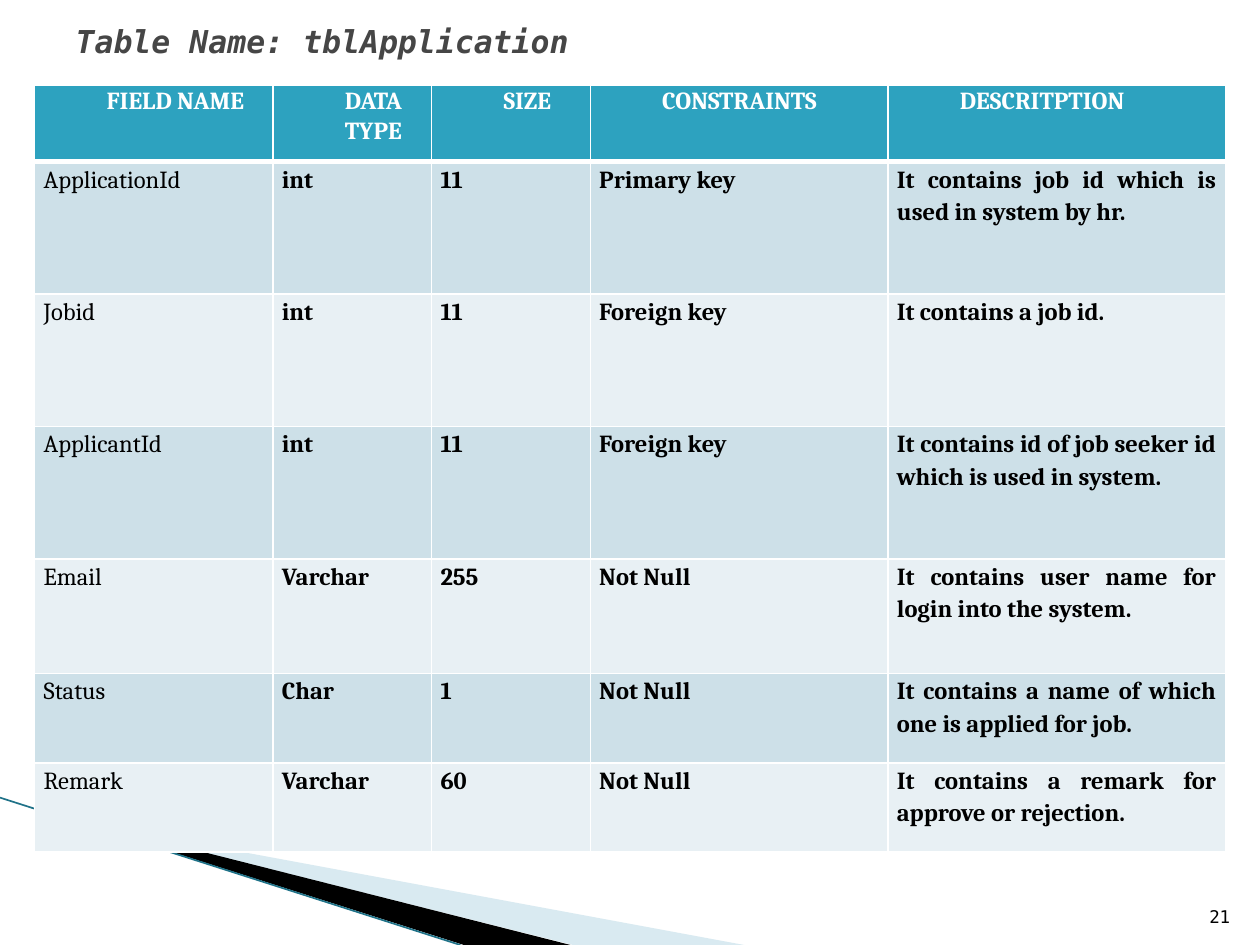
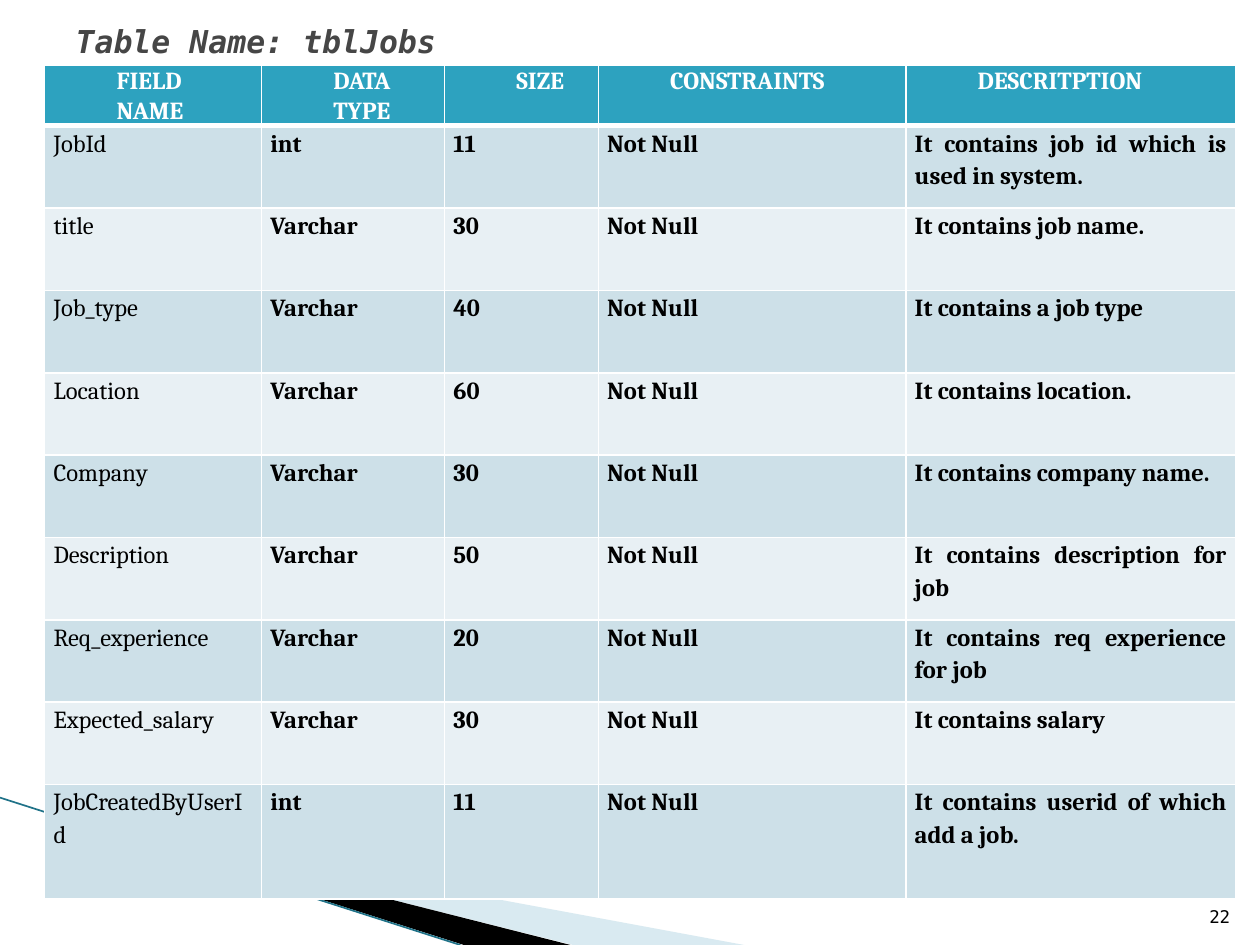
import pptx
import pptx.dml.color
import pptx.enum.shapes
import pptx.enum.text
import pptx.oxml
import pptx.oxml.ns
import pptx.util

Cm = pptx.util.Cm
Pt = pptx.util.Pt
ALIGN = pptx.enum.text.PP_ALIGN
ANCHOR = pptx.enum.text.MSO_ANCHOR

# Shared look
COLORS = {
    "head": "2DA2BF", "odd": "CDE0E8", "even": "E8F0F4", "white": "FFFFFF",
    "black": "000000", "title": "464646", "wedge": "A0CBDC", "edge": "1F7288",
}
MONO = "DejaVu Sans Mono"
SERIF = "Cambria"
HEADS = ["FIELD NAME", "DATA TYPE", "SIZE", "CONSTRAINTS", "DESCRITPTION"]

# Table content
APPLY = [
    ("ApplicationId", "int", "11", "Primary key",
     "It contains job id which is used in system by hr."),
    ("Jobid", "int", "11", "Foreign key", "It contains a job id."),
    ("ApplicantId", "int", "11", "Foreign key",
     "It contains id of job seeker id which is used in system."),
    ("Email", "Varchar", "255", "Not Null",
     "It contains user name for login into the system."),
    ("Status", "Char", "1", "Not Null",
     "It contains a name of which one is applied for job."),
    ("Remark", "Varchar", "60", "Not Null",
     "It contains a remark for approve or rejection."),
]
JOBS = [(name, kind, size, "Not Null", note) for name, kind, size, note in [
    ("JobId", "int", "11", "It contains job id which is used in system."),
    ("title", "Varchar", "30", "It contains job name."),
    ("Job_type", "Varchar", "40", "It contains a job type"),
    ("Location", "Varchar", "60", "It contains location."),
    ("Company", "Varchar", "30", "It contains company name."),
    ("Description", "Varchar", "50", "It contains description for job"),
    ("Req_experience", "Varchar", "20", "It contains req experience for job"),
    ("Expected_salary", "Varchar", "30", "It contains salary"),
    ("JobCreatedByUserId", "int", "11",
     "It contains userid of which add a job."),
]]


def rgb(name):
    return pptx.dml.color.RGBColor.from_string(COLORS[name])


def style(para, face, size, color, bold=False, italic=False):
    for run in para.runs:
        font = run.font
        font.name, font.size = face, Pt(size)
        font.bold, font.italic = bold, italic
        font.color.rgb = rgb(color)


def add_wedge(slide, points, color, alpha=None):
    first, *rest = [(Cm(x), Cm(y)) for x, y in points]
    form = slide.shapes.build_freeform(*first, scale=1.0)
    form.add_line_segments(rest, close=True)
    wedge = form.convert_to_shape()
    wedge.shadow.inherit = False
    wedge.line.fill.background()
    wedge.fill.solid()
    wedge.fill.fore_color.rgb = rgb(color)
    if alpha:
        tint = wedge.fill._xPr.find(".//" + pptx.oxml.ns.qn("a:srgbClr"))
        tint.append(pptx.oxml.parse_xml(
            f'<a:alpha {pptx.oxml.ns.nsdecls("a")} val="{alpha * 1000}"/>'))


def add_corner(slide):
    add_wedge(slide, [(1.4, 16.53), (15.0, 19.05), (11.55, 19.05),
                      (1.4, 16.51)], "wedge", 40)
    add_wedge(slide, [(1.35, 16.48), (11.5, 19.05), (9.35, 19.05),
                      (1.37, 16.51)], "black")
    edge = slide.shapes.add_connector(
        pptx.enum.shapes.MSO_CONNECTOR.STRAIGHT,
        Cm(0), Cm(16.08), Cm(9.28), Cm(19.05))
    edge.line.color.rgb = rgb("edge")
    edge.line.width = Pt(0.95)
    edge._element.spPr.append(pptx.oxml.parse_xml(
        f'<a:effectLst {pptx.oxml.ns.nsdecls("a")}/>'))


def set_title(slide, text):
    title = slide.shapes.title
    title.left, title.top = Cm(1.27), Cm(0.3)
    title.width, title.height = Cm(22.86), Cm(1.05)
    frame = title.text_frame
    frame.text = text
    frame.auto_size = pptx.enum.text.MSO_AUTO_SIZE.NONE
    frame.vertical_anchor = ANCHOR.MIDDLE
    para = frame.paragraphs[0]
    para.alignment = ALIGN.LEFT
    style(para, MONO, 18, "title", bold=True, italic=True)


def add_number(slide, number):
    box = slide.shapes.add_textbox(Cm(24.03), Cm(17.8), Cm(1.02), Cm(1.02))
    frame = box.text_frame
    frame.word_wrap = True
    frame.vertical_anchor = ANCHOR.BOTTOM
    frame.text = str(number)
    para = frame.paragraphs[0]
    para.alignment = ALIGN.RIGHT
    style(para, MONO, 10, "black")


def set_edges(cell, row):
    # A thick rule parts the header from the body
    widths = {"L": 1, "R": 1, "T": 3 if row == 1 else 1,
              "B": 3 if row == 0 else 1}
    props = cell._tc.get_or_add_tcPr()
    for side, width in widths.items():
        props.append(pptx.oxml.parse_xml(
            f'<a:ln{side} {pptx.oxml.ns.nsdecls("a")} w="{Pt(width)}">'
            f'<a:solidFill><a:srgbClr val="{COLORS["white"]}"/></a:solidFill>'
            f'</a:ln{side}>'))


def fill_cell(cell, text, row, col):
    cell.margin_left = cell.margin_right = Cm(0.18)
    cell.margin_top = cell.margin_bottom = 0
    set_edges(cell, row)
    cell.fill.solid()
    cell.text = text
    para = cell.text_frame.paragraphs[0]
    if row == 0:
        cell.fill.fore_color.rgb = rgb("head")
        para._p.get_or_add_pPr().set("marL", str(Cm(1.27)))
        para.line_spacing = 1.07
        style(para, SERIF, 14, "white", bold=True)
    else:
        cell.fill.fore_color.rgb = rgb("odd" if row % 2 else "even")
        para.alignment = ALIGN.JUSTIFY
        para.line_spacing = 1.15
        style(para, SERIF, 14, "black", bold=col > 0)


def add_grid(slide, left, top, widths, heights, body):
    rows = [HEADS] + body
    grid = slide.shapes.add_table(
        len(rows), len(HEADS), Cm(left), Cm(top),
        Cm(sum(widths)), Cm(sum(heights))).table
    grid.horz_banding = False
    for col, width in zip(grid.columns, widths):
        col.width = Cm(width)
    for line, height in zip(grid.rows, heights):
        line.height = Cm(height)
    for r, texts in enumerate(rows):
        for c, text in enumerate(texts):
            fill_cell(grid.cell(r, c), text, r, c)


def add_page(deck, number, name, *layout):
    slide = deck.slides.add_slide(deck.slide_layouts[5])
    add_corner(slide)
    add_grid(slide, *layout)
    set_title(slide, f"Table Name: {name}")
    add_number(slide, number)


def main():
    deck = pptx.Presentation()
    deck.slide_width, deck.slide_height = Cm(25.4), Cm(19.05)
    add_page(deck, 21, "tblApplication", 0.7, 1.72,
             [4.8, 3.2, 3.2, 6.0, 6.8],
             [1.54] + [2.67] * 3 + [2.31] + [1.8] * 2, APPLY)
    add_page(deck, 22, "tblJobs", 0.9, 1.32,
             [4.37, 3.69, 3.1, 6.2, 6.65],
             [1.21] + [1.66] * 8 + [2.31], JOBS)
    deck.save("out.pptx")


if __name__ == "__main__":
    main()
